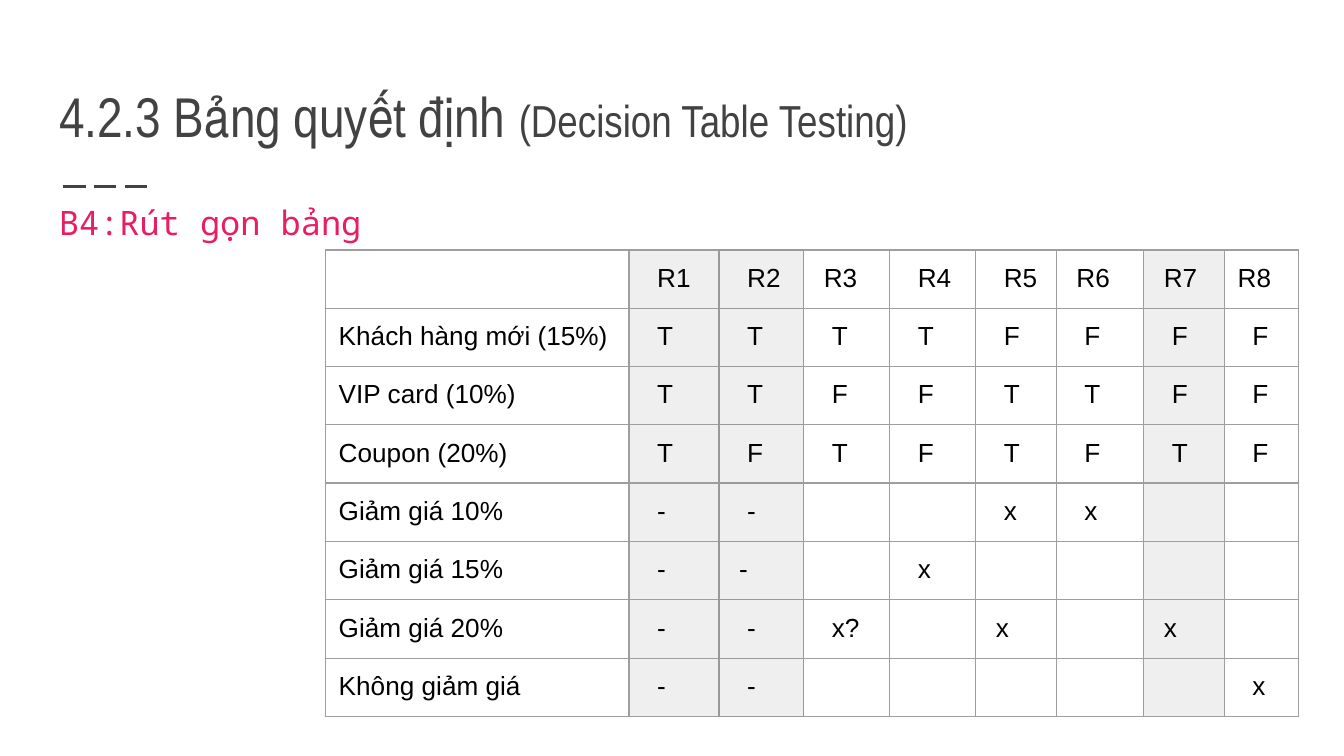
"""Build the decision table slide."""
from typing import NamedTuple

from lxml import etree
from pptx import Presentation
from pptx.dml.color import RGBColor
from pptx.enum.dml import MSO_LINE
from pptx.enum.shapes import MSO_CONNECTOR
from pptx.enum.text import MSO_ANCHOR, MSO_AUTO_SIZE, PP_ALIGN
from pptx.oxml.ns import qn
from pptx.util import Inches, Pt

BOTTOM, TOP = MSO_ANCHOR.BOTTOM, MSO_ANCHOR.TOP
LEFT = PP_ALIGN.LEFT
FIXED = MSO_AUTO_SIZE.NONE
STRAIGHT = MSO_CONNECTOR.STRAIGHT
DASH = MSO_LINE.LONG_DASH

INK = RGBColor(0x42, 0x42, 0x42)
PINK = RGBColor(0xE9, 0x1D, 0x63)
BLACK = RGBColor(0, 0, 0)
WHITE = RGBColor(0xFF, 0xFF, 0xFF)
SHADE = RGBColor(0xEF, 0xEF, 0xEF)
GRID = RGBColor(0x9E, 0x9E, 0x9E)
DARK = RGBColor(0x99, 0x99, 0x99)

INSET = 0.1
PADS = (INSET, 0.15, 0.21)
WIDTHS = (2.26, 0.67, 0.63, 0.64, 0.64, 0.6, 0.65, 0.6, 0.55)
HEIGHT = 0.31
SHADED = (1, 2, 7)
DARK_COL = 2
RULE_ROW = 3
BLANK = "."


class Row(NamedTuple):
    """One table row: its name, its marks and their indent steps."""
    name: str
    marks: str
    steps: str = "22222222"


ROWS = (
    Row("", "R1 R2 R3 R4 R5 R6 R7 R8", "22122110"),
    Row("Khách hàng mới (15%)", "T T T T F F F F"),
    Row("VIP card (10%)", "T T F F T T F F"),
    Row("Coupon (20%)", "T F T F T F T F"),
    Row("Giảm giá 10%", "- - . . x x . ."),
    Row("Giảm giá 15%", "- - . x . . . .", "21222222"),
    Row("Giảm giá 20%", "- - x? . x . x .", "22221212"),
    Row("Không giảm giá", "- - . . . . . x"),
)


def write(par, text: str, *, font: str, size: float, color: RGBColor) -> None:
    """Add a formatted run, or size the paragraph when it is empty."""
    par.alignment = LEFT
    if not text:
        end = etree.SubElement(par._p, qn("a:endParaRPr"))
        end.set("sz", str(int(size * 100)))
        return
    run = par.add_run()
    run.text = text
    run.font.name = font
    run.font.size = Pt(size)
    run.font.color.rgb = color


def pad(box, left: float = INSET) -> None:
    """Set the insets of a text frame or cell."""
    box.margin_left = Inches(left)
    box.margin_top = box.margin_right = box.margin_bottom = Inches(INSET)


def edge(cell, side: str, color: RGBColor, width: float) -> None:
    """Draw one border of a cell."""
    props = cell._tc.get_or_add_tcPr()
    line = etree.SubElement(props, qn(f"a:ln{side}"), w=str(Pt(width)))
    fill = etree.SubElement(line, qn("a:solidFill"))
    etree.SubElement(fill, qn("a:srgbClr"), val=str(color))


def draw_cell(cell, row: int, col: int, text: str, steps: int) -> None:
    """Fill, rule and letter one cell."""
    own = DARK if col == DARK_COL else GRID
    edge(cell, "L", DARK if col == DARK_COL + 1 else own, 0.75)
    edge(cell, "R", DARK if col == DARK_COL - 1 else own, 0.75)
    edge(cell, "T", own, 1.5 if row == RULE_ROW + 1 else 0.75)
    edge(cell, "B", own, 1.5 if row == RULE_ROW else 0.75)
    cell.fill.solid()
    cell.fill.fore_color.rgb = SHADE if col in SHADED else WHITE
    pad(cell, PADS[steps])
    cell.vertical_anchor = TOP
    write(cell.text_frame.paragraphs[0], text, font="Arial", size=14, color=BLACK)


def draw_table(slide) -> None:
    """Draw the decision table."""
    table = slide.shapes.add_table(
        len(ROWS), len(WIDTHS), Inches(2.42), Inches(1.86),
        Inches(sum(WIDTHS)), Inches(HEIGHT * len(ROWS))).table
    table.first_row = table.horz_banding = False
    for col, width in enumerate(WIDTHS):
        table.columns[col].width = Inches(width)
    for r, row in enumerate(ROWS):
        draw_cell(table.cell(r, 0), r, 0, row.name, 0)
        pairs = zip(row.marks.split(), row.steps)
        for c, (mark, steps) in enumerate(pairs, 1):
            text = "" if mark == BLANK else mark
            draw_cell(table.cell(r, c), r, c, text, int(steps))


def draw_title(slide) -> None:
    """Place and letter the title."""
    title = slide.shapes.title
    title.left, title.top = Inches(0.34), Inches(0.41)
    title.width, title.height = Inches(9.32), Inches(0.8)
    frame = title.text_frame
    frame.word_wrap = True
    frame.auto_size = FIXED
    frame.vertical_anchor = BOTTOM
    pad(frame)
    par = frame.paragraphs[0]
    for text, size in (("4.2.3 Bảng quyết định ", 30),
                       ("(Decision Table Testing)", 24)):
        write(par, text, font="Arial Narrow", size=size, color=INK)


def draw_rule(slide) -> None:
    """Draw the dashed rule below the title."""
    rule = slide.shapes.add_connector(
        STRAIGHT, Inches(0.47), Inches(1.39), Inches(1.14), Inches(1.39))
    rule.line.color.rgb = INK
    rule.line.width = Pt(1.5)
    rule.line.dash_style = DASH
    etree.SubElement(rule._element.spPr, qn("a:effectLst"))


def draw_body(slide) -> None:
    """Write the step heading."""
    frame = slide.shapes.add_textbox(
        Inches(0.34), Inches(1.36), Inches(9.32), Inches(4.07)).text_frame
    frame.word_wrap = True
    pad(frame)
    par = frame.paragraphs[0]
    par.line_spacing = 1.15
    par.space_after = Pt(12)
    write(par, "B4:Rút gọn bảng", font="Noto Sans Mono", size=18, color=PINK)


def main() -> None:
    """Build and save the deck."""
    deck = Presentation()
    deck.slide_width = Inches(10)
    deck.slide_height = deck.slide_width * 9 // 16
    slide = deck.slides.add_slide(deck.slide_layouts[5])
    draw_rule(slide)
    draw_title(slide)
    draw_body(slide)
    draw_table(slide)
    deck.save("out.pptx")


if __name__ == "__main__":
    main()
